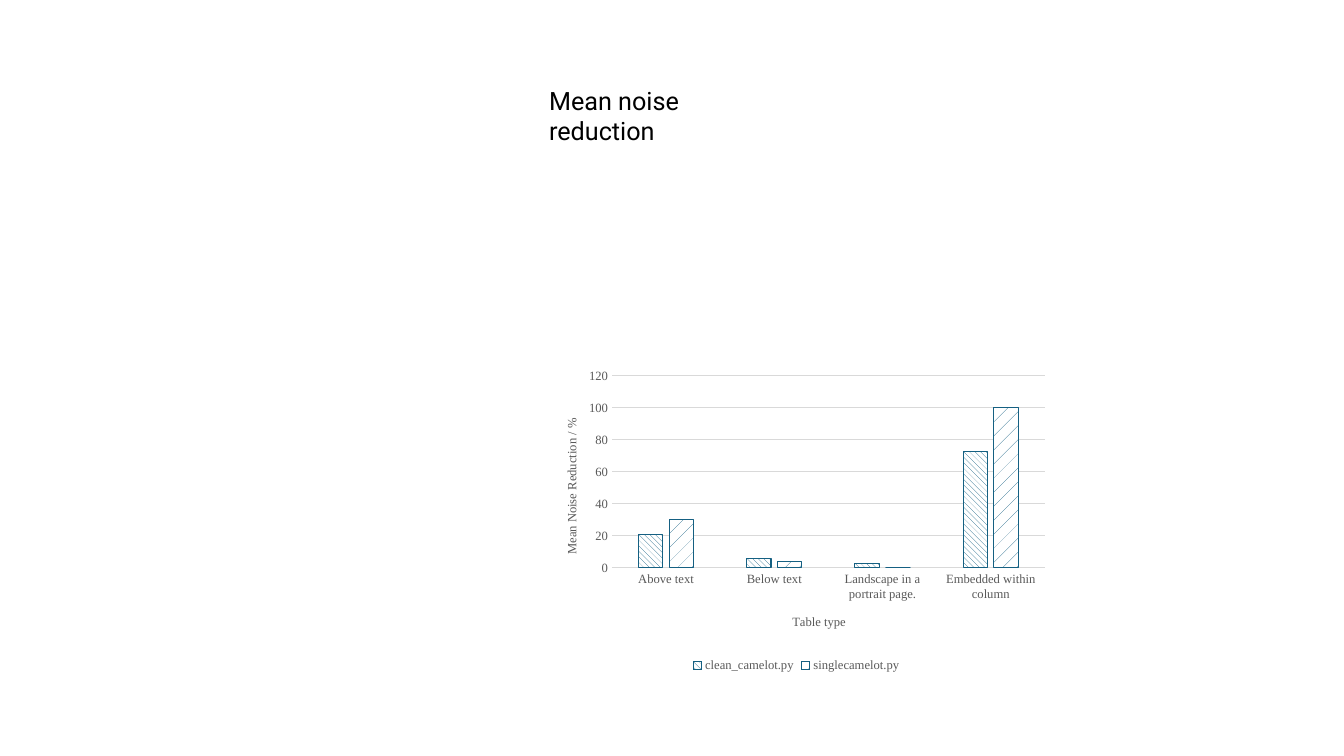
from lxml import etree
from pptx import Presentation
from pptx import util as u
from pptx.chart.data import CategoryChartData
from pptx.dml.color import RGBColor
from pptx.enum import chart as ch, dml, text
from pptx.oxml import ns

PX = 914400 / 100.8
SERIF = "Times New Roman"
GREY, RULE, BLUE = "595959", "D9D9D9", "156082"
TYPES = ["Above text", "Below text", "Landscape in a portrait page.",
         "Embedded within column"]
DATA = [
    ("clean_camelot.py", (21, 6, 3, 73), dml.MSO_PATTERN.WIDE_DOWNWARD_DIAGONAL),
    ("singlecamelot.py", (30, 4, 0, 100), dml.MSO_PATTERN.PERCENT_5),
]


def px(n):
    return u.Emu(round(n * PX))


def tint(color, code):
    color.rgb = RGBColor.from_string(code)


def style(font, name, size, code):
    font.name, font.size, font.bold = name, u.Pt(size), False
    tint(font.color, code)


def stroke(line, code):
    tint(line.color, code)
    line.width = u.Pt(0.75)


def pin(part, index, frame, spot, inner=False):
    for old in part.findall(ns.qn("c:layout")):
        part.remove(old)
    layout = etree.Element(ns.qn("c:layout"))
    manual = etree.SubElement(layout, ns.qn("c:manualLayout"))
    left, top, wide, high = frame
    rules = [("layoutTarget", "inner")] if inner else []
    rules += [("xMode", "edge"), ("yMode", "edge")]
    spans = (wide, high, wide, high)
    rules += [(key, f"{n / span:.4f}") for key, n, span in zip("xywh", spot, spans)]
    for key, val in rules:
        etree.SubElement(manual, ns.qn("c:" + key)).set("val", val)
    part.insert(index, layout)


def add_title(slide, box):
    title = slide.shapes.title
    title.left, title.top, title.width, title.height = map(px, box)
    frame = title.text_frame
    frame.text = "Mean noise reduction"
    frame.word_wrap = True
    frame.auto_size = text.MSO_AUTO_SIZE.SHAPE_TO_FIT_TEXT
    frame.vertical_anchor = text.MSO_ANCHOR.TOP
    para = frame.paragraphs[0]
    para.alignment = text.PP_ALIGN.LEFT
    style(para.font, "Roboto", 18, "000000")


def set_axis(axis, label, box, spot):
    axis.major_tick_mark = axis.minor_tick_mark = ch.XL_TICK_MARK.NONE
    style(axis.tick_labels.font, SERIF, 9, GREY)
    title = axis.axis_title
    title.text_frame.text = label
    style(title.text_frame.paragraphs[0].font, SERIF, 9, GREY)
    pin(title._element, 1, box, spot)


def add_chart(slide, box):
    data = CategoryChartData()
    data.categories = TYPES
    for name, vals, _ in DATA:
        data.add_series(name, vals)
    chart = slide.shapes.add_chart(
        ch.XL_CHART_TYPE.COLUMN_CLUSTERED, *map(px, box), data).chart
    style(chart.font, SERIF, 9, "000000")
    chart.has_title = False
    chart.has_legend = True
    chart.legend.position = ch.XL_LEGEND_POSITION.BOTTOM
    chart.legend.include_in_layout = False
    style(chart.legend.font, SERIF, 9, GREY)

    plot = chart.plots[0]
    plot.gap_width, plot.overlap, plot.vary_by_categories = 219, -27, False
    for series, (_, _, pattern) in zip(plot.series, DATA):
        fill = series.format.fill
        fill.patterned()
        fill.pattern = pattern
        tint(fill.fore_color, BLUE)
        tint(fill.back_color, "FFFFFF")
        stroke(series.format.line, BLUE)
        series.invert_if_negative = False

    cats, vals = chart.category_axis, chart.value_axis
    set_axis(cats, "Table type", box, (251, 248))
    set_axis(vals, "Mean Noise Reduction / %", box, (22, 53))
    stroke(cats.format.line, RULE)
    vals.format.line.fill.background()
    vals.minimum_scale, vals.maximum_scale, vals.major_unit = 0, 120, 20
    vals.has_major_gridlines = True
    stroke(vals.major_gridlines.format.line, RULE)
    area = chart._chartSpace.find(".//" + ns.qn("c:plotArea"))
    pin(area, 0, box, (73, 13, 433, 192), True)


def main():
    deck = Presentation()
    deck.slide_width, deck.slide_height = px(1344), px(756)
    slide = deck.slides.add_slide(deck.slide_layouts[5])
    add_chart(slide, (539, 363, 515, 314))
    add_title(slide, (539, 80, 219, 72))
    deck.save("out.pptx")


if __name__ == "__main__":
    main()
